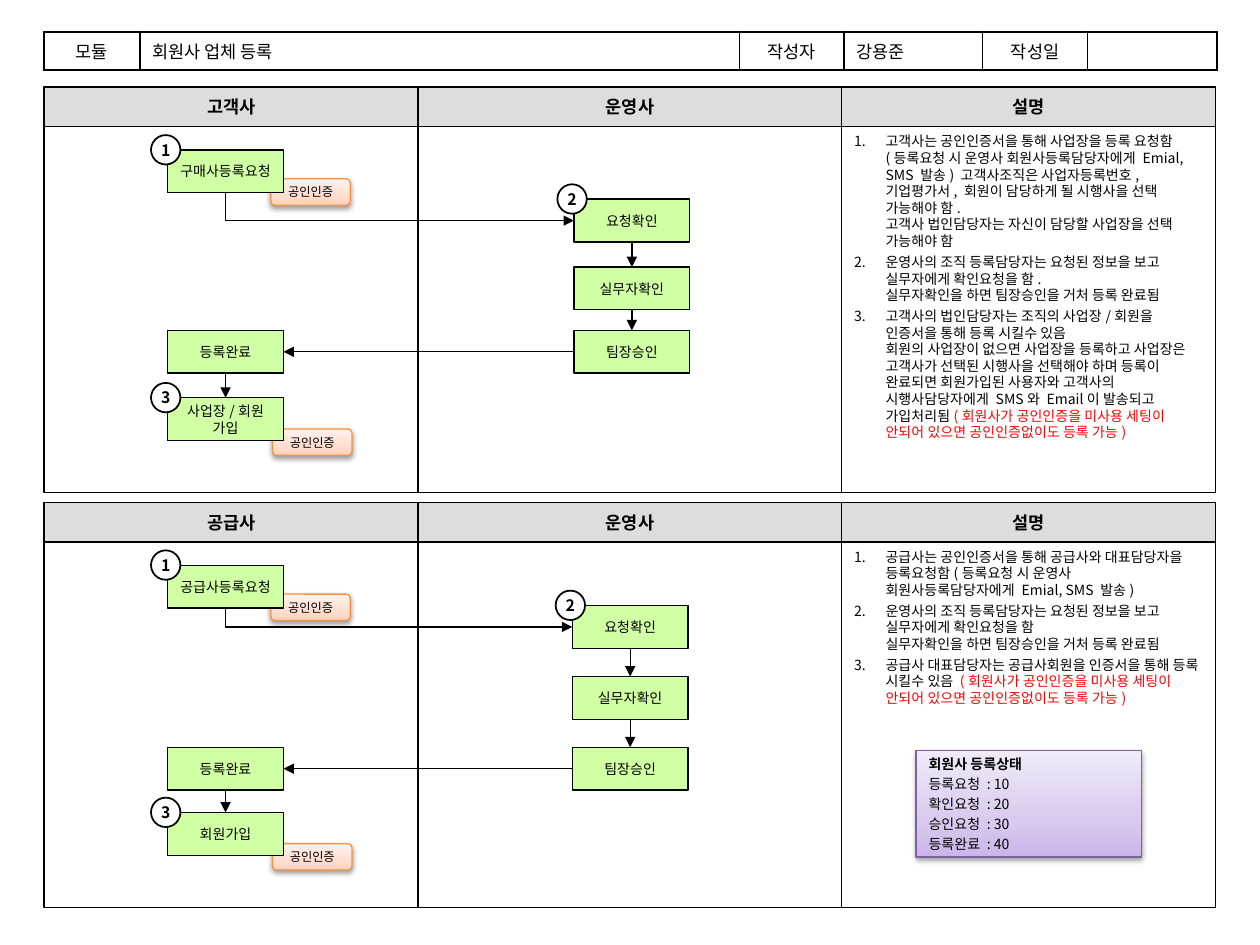
from lxml.etree import SubElement
from pptx import Presentation
from pptx.dml.color import RGBColor
from pptx.enum.shapes import MSO_CONNECTOR as LINE, MSO_SHAPE as SHAPE
from pptx.enum.text import MSO_ANCHOR as ANCHOR, PP_ALIGN as ALIGN
from pptx.oxml.ns import qn
from pptx.util import Pt

BLACK = RGBColor(0x00, 0x00, 0x00)
WHITE = RGBColor(0xFF, 0xFF, 0xFF)
RED = RGBColor(0xFF, 0x00, 0x00)
GREY = RGBColor(0xDD, 0xDD, 0xDD)
GREEN = RGBColor(0xD1, 0xFF, 0xA3)
ORANGE = RGBColor(0xF6, 0x92, 0x40)
PURPLE = RGBColor(0x7D, 0x60, 0xA0)
PEACH_STOPS = ((0, "FFD2BD"), (35, "FFDED0"), (100, "FFF2ED"))
LILAC_STOPS = ((0, "C9B5E8"), (35, "D8CBEE"), (100, "F0EAF9"))

FONT = "Noto Sans CJK KR"
COLUMNS = ((25.2, 213.8), (239, 242), (481, 213.8))
HEAD_H, BODY_H = 22.8, 208.8
NODE_W, NODE_H = 66.2, 24.5
CUSTOMER_X = 95.8
TOP, LEFT, BOTTOM, RIGHT = range(4)  # connection sites of a rectangle


# Text
def add_run(p, text, size, color=BLACK, bold=False):
    for i, line in enumerate(text.split("\n")):
        if i:
            p.add_line_break()
        r = p.add_run()
        r.text = line
        fmt = {"name": FONT, "size": Pt(size), "bold": bold}
        for key, value in fmt.items():
            setattr(r.font, key, value)
        r.font.color.rgb = color
        SubElement(r.font._element, qn("a:ea"), typeface=FONT)


def format_paragraph(p, **fmt):
    for key, value in fmt.items():
        setattr(p, key, value)


# Shapes
def add_box(s, kind, x, y, w, h, fill=None, line=BLACK, width=0.75):
    sp = s.shapes.add_shape(kind, Pt(x), Pt(y), Pt(w), Pt(h))
    sp.shadow.inherit = False
    if fill is None:
        sp.fill.background()
    else:
        sp.fill.solid()
        sp.fill.fore_color.rgb = fill
    sp.line.color.rgb = line
    sp.line.width = Pt(width)
    return sp


def add_label(sp, text, size, bold=False, wrap=False):
    tf = sp.text_frame
    tf.word_wrap = wrap
    tf.vertical_anchor = ANCHOR.MIDDLE
    p = tf.paragraphs[0]
    format_paragraph(p, alignment=ALIGN.CENTER)
    if "\n" in text:
        p.line_spacing = Pt(9.5)
    add_run(p, text, size, bold=bold)


def add_glossy_box(s, kind, x, y, w, h, stops, line):
    sp = add_box(s, kind, x, y, w, h, line=line)
    sp.fill.gradient()
    sp.fill.gradient_angle = 90
    props = sp._element.spPr
    stop_list = props.find(".//" + qn("a:gsLst"))
    for old in list(stop_list):
        stop_list.remove(old)
    for pos, color in stops:
        stop = SubElement(stop_list, qn("a:gs"), pos=str(pos * 1000))
        SubElement(stop, qn("a:srgbClr"), val=color)
    shadow = SubElement(props.find(qn("a:effectLst")), qn("a:outerShdw"),
                        blurRad=str(Pt(3.1)), dist=str(Pt(1.6)),
                        dir="5400000", rotWithShape="0")
    color = SubElement(shadow, qn("a:srgbClr"), val="000000")
    SubElement(color, qn("a:alpha"), val="38000")
    return sp


def add_node(s, x, y, text):
    sp = add_box(s, SHAPE.RECTANGLE, x, y, NODE_W, NODE_H, GREEN)
    add_label(sp, text, 8)
    return sp


def add_tag(s, x, y):
    sp = add_glossy_box(s, SHAPE.ROUNDED_RECTANGLE, x, y, 45.4, 15.1,
                        PEACH_STOPS, ORANGE)
    add_label(sp, "공인인증", 7, wrap=True)


def add_badge(s, x, y, number):
    sp = add_box(s, SHAPE.OVAL, x, y, 16.8, 16.8, WHITE, width=1)
    tf = sp.text_frame
    for side in ("left", "top", "right", "bottom"):
        setattr(tf, f"margin_{side}", 0)
    add_label(sp, str(number), 9, bold=True)


def add_arrow(s, start, start_site, end, end_site, bent=False):
    c = s.shapes.add_connector(LINE.ELBOW if bent else LINE.STRAIGHT, 0, 0, 0, 0)
    c.begin_connect(start, start_site)
    c.end_connect(end, end_site)
    c.line.color.rgb = BLACK
    c.line.width = Pt(0.75)
    props = c._element.spPr
    SubElement(props.find(qn("a:ln")), qn("a:tailEnd"), type="triangle")
    SubElement(props, qn("a:effectLst"))
    if bent:  # one corner: down, then right
        w, h = c.width, c.height
        c.left, c.top = c.left + (w - h) // 2, c.top + (h - w) // 2
        c.width, c.height = h, w
        xfrm = props.find(qn("a:xfrm"))
        xfrm.set("rot", "16200000")
        xfrm.set("flipH", "1")
        props.find(qn("a:prstGeom")).set("prst", "bentConnector2")


# Page parts
def add_title_table(s):
    cells = (("모듈", 54.7), ("회원사 업체 등록", 342.7), ("작성자", 59.8),
             ("강용준", 79.2), ("작성일", 59.8), ("", 74.2))
    total = sum(w for _, w in cells)
    frame = s.shapes.add_table(1, len(cells), Pt(25.2), Pt(18.2), Pt(total), Pt(18))
    table = frame.table
    table.first_row = table.horz_banding = False
    last = len(cells) - 1
    for i, (text, width) in enumerate(cells):
        table.columns[i].width = Pt(width)
        cell = table.cell(0, i)
        p = cell.text_frame.paragraphs[0]
        format_paragraph(p, alignment=ALIGN.LEFT if i in (1, 3) else ALIGN.CENTER)
        if text:
            add_run(p, text, 10)
        else:
            p.font.size = Pt(10)
        props = cell._tc.get_or_add_tcPr()
        borders = {"L": 1 if i else 1.5, "R": 1.5 if i == last else 1,
                   "T": 1.5, "B": 1.5}
        for side, width in borders.items():
            ln = SubElement(props, qn(f"a:ln{side}"), w=str(Pt(width)))
            fill = SubElement(ln, qn("a:solidFill"))
            SubElement(fill, qn("a:srgbClr"), val="000000")
        cell.fill.background()


def add_notes_list(sp, notes):
    tf = sp.text_frame
    tf.word_wrap = True
    tf.vertical_anchor = ANCHOR.TOP
    for i, (text, warning) in enumerate(notes):
        p = tf.add_paragraph() if i else tf.paragraphs[0]
        format_paragraph(p, alignment=ALIGN.LEFT, line_spacing=Pt(9.5),
                         space_before=Pt(2.4))
        props = p._p.get_or_add_pPr()
        props.set("marL", str(Pt(18)))
        props.set("indent", str(-Pt(18)))
        SubElement(props, qn("a:buAutoNum"), type="arabicPeriod")
        add_run(p, text, 8)
        if warning:
            add_run(p, warning, 8, RED)


def add_panel(s, y, member, notes):
    for (x, w), title in zip(COLUMNS, (member, "운영사", "설명")):
        body = add_box(s, SHAPE.RECTANGLE, x, y + HEAD_H, w, BODY_H)
        head = add_box(s, SHAPE.RECTANGLE, x, y, w, HEAD_H, GREY)
        add_label(head, title, 10, bold=True)
    add_notes_list(body, notes)


def add_flow(s, request, join, operator_x, request_y, confirm_y, check_y,
             approve_y, join_y):
    add_tag(s, CUSTOMER_X + 59, request_y + 16.5)
    add_tag(s, CUSTOMER_X + 60, join_y + 17.8)
    asked = add_node(s, CUSTOMER_X, request_y, request)
    confirm = add_node(s, operator_x, confirm_y, "요청확인")
    check = add_node(s, operator_x, check_y, "실무자확인")
    approve = add_node(s, operator_x, approve_y, "팀장승인")
    done = add_node(s, CUSTOMER_X, approve_y, "등록완료")
    joined = add_node(s, CUSTOMER_X, join_y, join)
    add_arrow(s, asked, BOTTOM, confirm, LEFT, bent=True)
    add_arrow(s, approve, LEFT, done, RIGHT)
    for above, below in ((confirm, check), (check, approve), (done, joined)):
        add_arrow(s, above, BOTTOM, below, TOP)
    badges = ((CUSTOMER_X, request_y), (operator_x, confirm_y), (CUSTOMER_X, join_y))
    for number, (x, y) in enumerate(badges, 1):
        add_badge(s, x - 9.5, y - 8.5, number)


def add_status_box(s):
    sp = add_glossy_box(s, SHAPE.RECTANGLE, 523.5, 429, 128.9, 60.8,
                        LILAC_STOPS, PURPLE)
    tf = sp.text_frame
    tf.word_wrap = True
    tf.vertical_anchor = ANCHOR.MIDDLE
    lines = ("회원사 등록상태", "등록요청 : 10", "확인요청 : 20",
             "승인요청 : 30", "등록완료 : 40")
    for i, line in enumerate(lines):
        p = tf.add_paragraph() if i else tf.paragraphs[0]
        format_paragraph(p, alignment=ALIGN.LEFT, line_spacing=Pt(9.5),
                         space_before=Pt(2))
        add_run(p, line, 8, bold=i == 0)


WARNING = "(회원사가 공인인증을 미사용 세팅이 안되어 있으면 공인인증없이도 등록 가능)"
CUSTOMER_NOTES = (
    ("고객사는 공인인증서을 통해 사업장을 등록 요청함(등록요청 시 운영사 회원사등록담당자에게 "
     "Emial, SMS 발송) 고객사조직은 사업자등록번호, 기업평가서, 회원이 담당하게 될 시행사을 선택 "
     "가능해야 함.\n고객사 법인담당자는 자신이 담당할 사업장을 선택 가능해야 함", ""),
    ("운영사의 조직 등록담당자는 요청된 정보을 보고 실무자에게 확인요청을 함.\n"
     "실무자확인을 하면 팀장승인을 거처 등록 완료됨", ""),
    ("고객사의 법인담당자는 조직의 사업장/회원을 인증서을 통해 등록 시킬수 있음\n"
     "회원의 사업장이 없으면 사업장을 등록하고 사업장은 고객사가 선택된 시행사을 선택해야 하며 등록이 "
     "완료되면 회원가입된 사용자와 고객사의 시행사담당자에게 SMS와 Email이 발송되고 가입처리됨",
     WARNING))
SUPPLIER_NOTES = (
    ("공급사는 공인인증서을 통해 공급사와 대표담당자을 등록요청함(등록요청 시 운영사 "
     "회원사등록담당자에게 Emial, SMS 발송)", ""),
    ("운영사의 조직 등록담당자는 요청된 정보을 보고 실무자에게 확인요청을 함\n"
     "실무자확인을 하면 팀장승인을 거처 등록 완료됨", ""),
    ("공급사 대표담당자는 공급사회원을 인증서을 통해 등록 시킬수 있음", " " + WARNING))


def main():
    prs = Presentation()
    prs.slide_width, prs.slide_height = Pt(720), Pt(540)
    s = prs.slides.add_slide(prs.slide_layouts[6])
    add_title_table(s)
    # Customer registration
    add_panel(s, 49.7, "고객사", CUSTOMER_NOTES)
    add_flow(s, "구매사등록요청", "사업장/회원\n가입", 328, 85.7, 113.8, 152.6, 188.8, 227.3)
    # Supplier registration
    add_panel(s, 287, "공급사", SUPPLIER_NOTES)
    add_flow(s, "공급사등록요청", "회원가입", 327, 323, 346, 386.6, 427, 464.3)
    add_status_box(s)
    prs.save("out.pptx")


if __name__ == "__main__":
    main()
